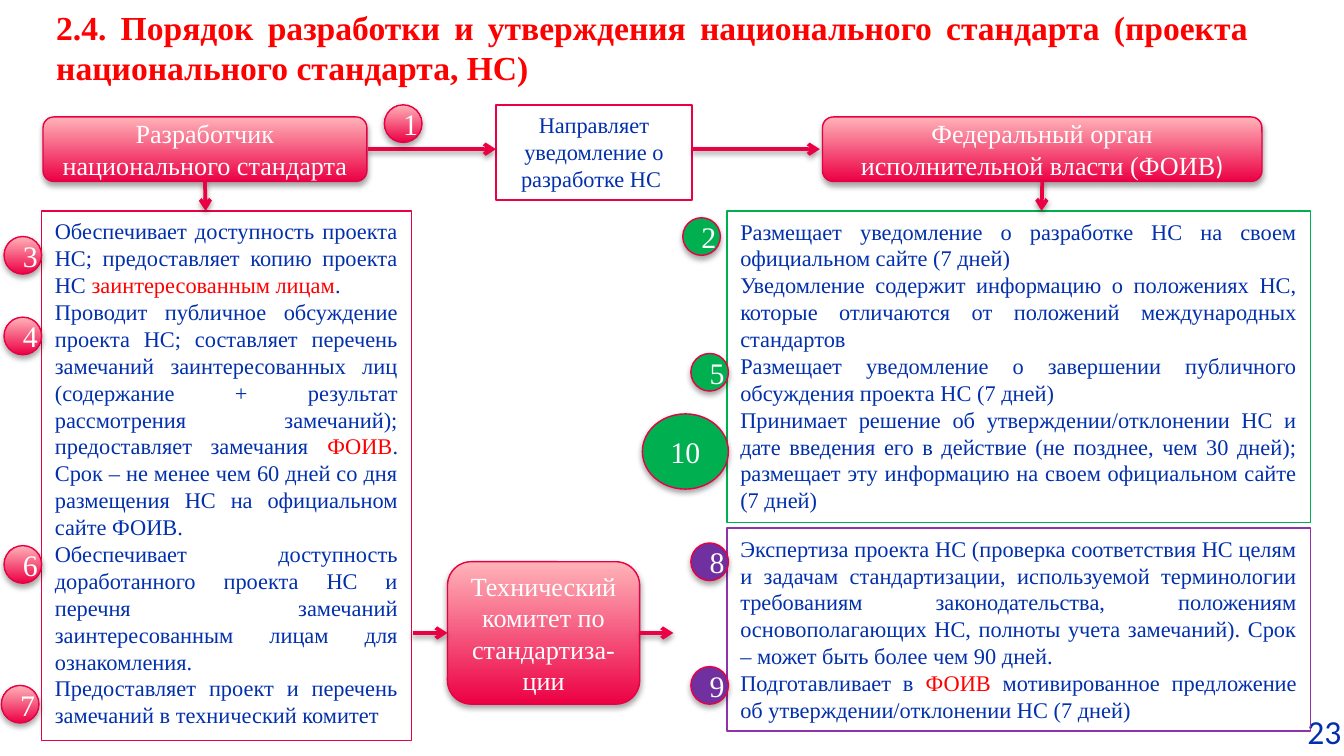
from lxml.etree import SubElement
from pptx import Presentation
from pptx.dml.color import RGBColor
from pptx.enum.shapes import MSO_CONNECTOR as CONN, MSO_SHAPE as SHAPE
from pptx.enum.text import MSO_ANCHOR as ANCHOR, MSO_AUTO_SIZE as FIT, PP_ALIGN as ALIGN
from pptx.oxml.ns import qn
from pptx.util import Inches, Pt

THEME = {
    "serif": "Times New Roman", "sans": "Calibri",
    "title": 18, "node": 14, "body": 12, "badge": 16,
    "ink": "0230AC", "red": "FF0000", "white": "FFFFFF",
    "crimson": "EC0044", "pink": "FFB3B9", "edge": "E70043",
    "green": "00B050", "violet": "8F32AC", "purple": "7030A0",
}

WIDTH = 10
HEIGHT = WIDTH * 9 / 16
TITLE = "2.4. Порядок разработки и утверждения национального стандарта (проекта национального стандарта, НС)"
PAGE = "23"
NOTICE = "Направляет уведомление о разработке НС "
NODES = {
    "agency": ("Федеральный орган исполнительной власти (ФОИВ|)", (6.12, 0.87, 3.27, 0.48)),
    "developer": ("Разработчик национального стандарта", (0.32, 0.87, 2.41, 0.48)),
    "committee": ("Технический комитет по стандартиза-ции", (3.33, 4.18, 1.43, 1.06)),
}
PANELS = [
    ((0.31, 1.57, 2.75, 3.94), "crimson", [
        "Обеспечивает доступность проекта НС; предоставляет копию проекта НС |заинтересованным лицам|.",
        "Проводит публичное обсуждение проекта НС; составляет перечень замечаний заинтересованных лиц "
        "(содержание + результат рассмотрения замечаний); предоставляет замечания |ФОИВ|. "
        "Срок – не менее чем 60 дней со дня размещения НС на официальном сайте ФОИВ.",
        "Обеспечивает доступность доработанного проекта НС и перечня замечаний "
        "заинтересованным лицам для ознакомления.",
        "Предоставляет проект и перечень замечаний в технический комитет",
    ]),
    ((5.41, 1.57, 4.34, 2.32), "green", [
        "Размещает уведомление о разработке НС на своем официальном сайте (7 дней)",
        "Уведомление содержит информацию о положениях НС, которые отличаются от положений "
        "международных стандартов",
        "Размещает уведомление о завершении публичного обсуждения проекта НС (7 дней)",
        "Принимает решение об утверждении/отклонении НС и дате введения его в действие "
        "(не позднее, чем 30 дней); размещает эту информацию на своем официальном сайте (7 дней)",
    ]),
    ((5.41, 3.93, 4.34, 1.51), "violet", [
        "Экспертиза проекта НС (проверка соответствия НС целям и задачам стандартизации, "
        "используемой терминологии требованиям законодательства, положениям основополагающих НС, "
        "полноты учета замечаний). Срок – может быть более чем 90 дней.",
        "Подготавливает в |ФОИВ| мотивированное предложение об утверждении/отклонении НС (7 дней)",
    ]),
]
BADGE = 0.28
BADGES = [
    ("1", 2.86, 0.78, None), ("3", 0.03, 1.76, None), ("4", 0.03, 2.36, None),
    ("6", 0.03, 4.06, None), ("7", 0.01, 5.1, None), ("2", 5.08, 1.62, "green"),
    ("5", 5.14, 2.63, "green"), ("8", 5.14, 4.04, "purple"), ("9", 5.14, 4.96, "purple"),
]
TOP, LEFT, BOTTOM, RIGHT = range(4)
ARROWS = [
    ((2.74, 1.11), (3.69, 1.11), None, None),
    ((5.15, 1.11), (6.1, 1.11), None, None),
    ((7.76, 1.35), (7.75, 1.57), ("agency", BOTTOM), None),
    ((1.53, 1.35), (1.53, 1.57), ("developer", BOTTOM), None),
    ((3.07, 4.71), (3.33, 4.71), None, ("committee", LEFT)),
    ((4.76, 4.71), (5.01, 4.71), ("committee", RIGHT), None),
]


def rgb(name):
    """Return a theme colour."""
    return RGBColor.from_string(THEME[name])


def write(sp, paragraphs, size="body", color="ink", font="serif", align=ALIGN.CENTER,
          bold=None, anchor=ANCHOR.TOP, grow=False, after=None, alt_color=None, alt_font=None):
    """Fill a shape with paragraphs, where | switches to the alternate format and back."""
    tf = sp.text_frame
    tf.word_wrap = True
    tf.vertical_anchor = anchor
    tf.auto_size = FIT.SHAPE_TO_FIT_TEXT if grow else FIT.NONE
    for i, text in enumerate(paragraphs):
        p = tf.add_paragraph() if i else tf.paragraphs[0]
        p.alignment = align
        if after:
            p.space_after = Pt(after)
        for j, part in enumerate(text.split("|")):
            if not part:
                continue
            alt = j % 2
            r = p.add_run()
            r.text = part
            r.font.size = Pt(THEME[size])
            r.font.bold = bold
            r.font.name = THEME[alt_font if alt and alt_font else font]
            r.font.color.rgb = rgb(alt_color if alt and alt_color else color)


def shade(sp, opacity, distance):
    """Give a shape or connector a soft shadow straight below it."""
    effects = SubElement(sp._element.spPr, qn("a:effectLst"))
    shadow = SubElement(effects, qn("a:outerShdw"), blurRad=str(Pt(3.1)), dist=str(Pt(distance)),
                        dir="5400000", rotWithShape="0")
    black = SubElement(shadow, qn("a:srgbClr"), val="000000")
    SubElement(black, qn("a:alpha"), val=str(opacity * 1000))


def add_box(s, at, line=None, fill=None, kind=SHAPE.RECTANGLE):
    """Add a preset shape with an optional plain fill and outline."""
    sp = s.shapes.add_shape(kind, *map(Inches, at))
    if fill:
        sp.fill.solid()
        sp.fill.fore_color.rgb = rgb(fill)
    else:
        sp.fill.background()
    if line:
        sp.line.color.rgb = rgb(line)
        sp.line.width = Pt(0.75)
    else:
        sp.line.fill.background()
    return sp


def add_glossy(s, kind, at, text, size, fill=None):
    """Add a shadowed shape with white text and a pink gradient unless a fill is named."""
    sp = add_box(s, at, "edge", fill, kind)
    if not fill:
        sp.fill.gradient()
        sp.fill.gradient_angle = 90
        for stop, name in zip(sp.fill.gradient_stops, ("crimson", "pink")):
            stop.color.rgb = rgb(name)
    shade(sp, 35, 1.8)
    write(sp, [text], size=size, color="white", anchor=ANCHOR.MIDDLE, alt_font="sans")
    return sp


def add_arrow(s, start, end, source, target, nodes):
    """Add an arrow, joined to nodes where they are named."""
    cx = s.shapes.add_connector(CONN.STRAIGHT, *map(Inches, start + end))
    if source:
        cx.begin_connect(nodes[source[0]], source[1])
    if target:
        cx.end_connect(nodes[target[0]], target[1])
    cx.line.color.rgb = rgb("crimson")
    cx.line.width = Pt(2)
    SubElement(cx.line._get_or_add_ln(), qn("a:tailEnd"), type="arrow")
    shade(cx, 38, 1.6)


def main():
    """Build the slide."""
    prs = Presentation()
    prs.slide_width, prs.slide_height = Inches(WIDTH), Inches(HEIGHT)
    s = prs.slides.add_slide(prs.slide_layouts[6])

    number = s.shapes.add_textbox(*map(Inches, (9.63, 5.24, 0.61, 0.4)))
    write(number, [PAGE], size="title", font="sans", align=ALIGN.LEFT, grow=True)
    title = add_box(s, (0.32, 0, 9.07, 1.06), fill="white")
    title.shadow.inherit = False
    write(title, [TITLE], size="title", color="red", bold=True, align=ALIGN.JUSTIFY,
          grow=True, after=6)

    nodes = {name: add_glossy(s, SHAPE.ROUNDED_RECTANGLE, at, text, "node")
             for name, (text, at) in NODES.items()}
    notice = add_box(s, (3.69, 0.78, 1.46, 0.71), "crimson")
    notice.shadow.inherit = False
    write(notice, [NOTICE], grow=True)

    for at, line, paragraphs in PANELS:
        panel = add_box(s, at, line)
        panel.shadow.inherit = False
        write(panel, paragraphs, align=ALIGN.JUSTIFY, grow=True, alt_color="red")
    for arrow in ARROWS:
        add_arrow(s, *arrow, nodes)
    for text, x, y, fill in BADGES:
        add_glossy(s, SHAPE.OVAL, (x, y, BADGE, BADGE), text, "badge", fill)
    add_glossy(s, SHAPE.OVAL, (4.78, 3.08, 0.64, 0.56), "10", "badge", "green")
    prs.save("out.pptx")


if __name__ == "__main__":
    main()
